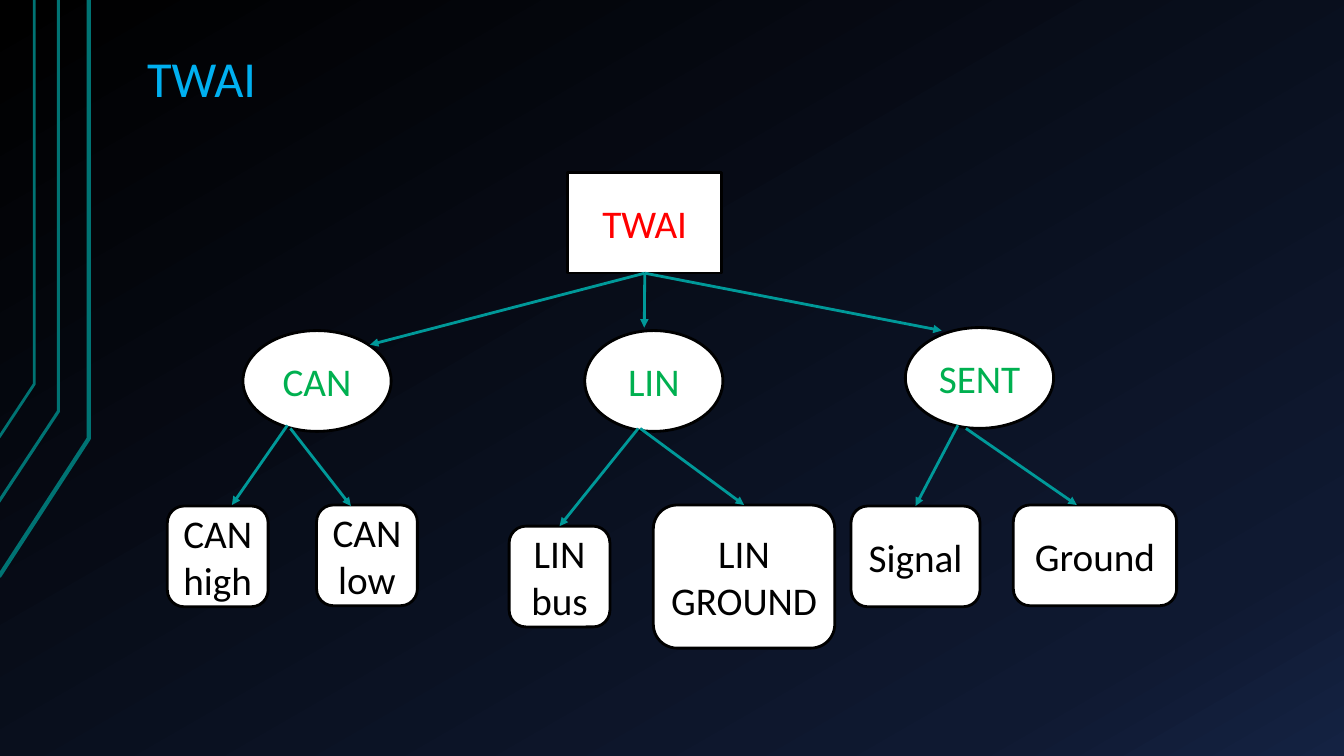
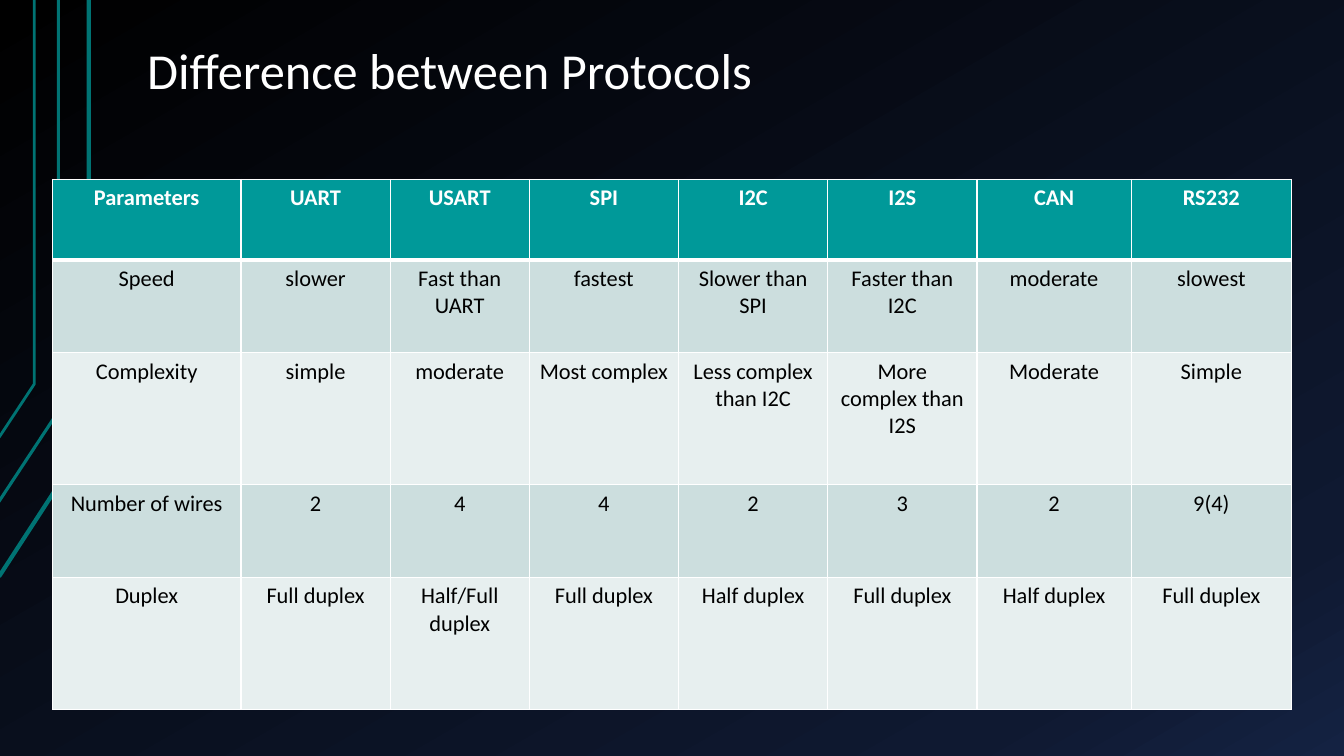
from copy import deepcopy
from lxml import etree
from pptx import Presentation
from pptx.dml.color import RGBColor
from pptx.enum.shapes import MSO_CONNECTOR, MSO_SHAPE
from pptx.enum.text import MSO_ANCHOR, MSO_AUTO_SIZE, PP_ALIGN
from pptx.oxml.ns import qn
from pptx.util import Inches, Pt

RECT, OVAL, ROUND = MSO_SHAPE.RECTANGLE, MSO_SHAPE.OVAL, MSO_SHAPE.ROUNDED_RECTANGLE
STRAIGHT = MSO_CONNECTOR.STRAIGHT
LEFT, MID = PP_ALIGN.LEFT, PP_ALIGN.CENTER
TOP, CENTER, BASE = MSO_ANCHOR.TOP, MSO_ANCHOR.MIDDLE, MSO_ANCHOR.BOTTOM
WIDE, HIGH = 13.33, 7.5
FONT = "Calibri"
WHITE, BLACK, TEAL, DARK = "FFFFFF", "000000", "009999", "007373"
BANDS = ["E7EFEF", "CCDEDE"]
SKY = [(0, BLACK), (0.85, "0F1931"), (1, "142242")]
RAILS = [
    (3, [(-0.01, 5.72), (0.88, 4.35), (0.88, 0)]),
    (2.25, [(-0.02, 4.99), (0.58, 4.08), (0.58, 0)]),
    (2, [(-0.01, 4.34), (0.34, 3.81), (0.34, 0)]),
]

KINDS = {"root": (RECT, "FF0000"), "bus": (OVAL, "00B050"), "wire": (ROUND, BLACK)}
NODES = [
    ("TWAI", "root", 5.63, 1.71, 1.53, 1),
    ("CAN", "bus", 2.41, 3.28, 1.47, 1),
    ("LIN", "bus", 5.8, 3.28, 1.37, 1),
    ("SENT", "bus", 8.98, 3.25, 1.47, 1),
    ("CAN high", "wire", 1.66, 5.02, 1, 1),
    ("CAN low", "wire", 3.14, 5.01, 1, 1),
    ("LIN GROUND", "wire", 6.48, 5.01, 1.8, 1.42),
    ("LIN bus", "wire", 5.05, 5.22, 1, 1),
    ("Signal", "wire", 8.44, 5.02, 1.28, 1),
    ("Ground", "wire", 10.05, 5.01, 1.62, 1),
]
LINKS = [
    ("TWAI", (3.67, 3.42)),
    ("TWAI", (6.39, 3.25)),
    ("TWAI", (9.34, 3.28)),
    ((2.85, 4.22), (2.3, 5.01)),
    ((2.88, 4.25), (3.48, 5.02)),
    ((6.33, 4.25), "LIN bus"),
    ((6.35, 4.25), "LIN GROUND"),
    ((9.5, 4.22), "Signal"),
    ((9.58, 4.25), (10.68, 5.01)),
]

COLS = [1.87, 1.48, 1.38, 1.48, 1.48, 1.48, 1.53, 1.59]
ROWS = [0.8, 0.92, 1.31, 0.92, 1.31]
CELLS = [
    ["Parameters", "UART", "USART", "SPI", "I2C", "I2S", "CAN", "RS232"],
    ["Speed", "slower", "Fast than UART", "fastest", "Slower than SPI",
     "Faster than I2C", "moderate", "slowest"],
    ["Complexity", "simple", "moderate", "Most complex", "Less complex than I2C",
     "More complex than I2S", "Moderate", "Simple"],
    ["Number of wires", "2", "4", "4", "2", "3", "2", "9(4)"],
    ["Duplex", "Full duplex", "Half/Full duplex", "Full duplex", "Half duplex",
     "Full duplex", "Half duplex", "Full duplex"],
]


def rgb(code):
    return RGBColor.from_string(code)


def write(frame, text, size=28, color=BLACK, bold=False, align=MID, anchor=CENTER, lead=None):
    frame.word_wrap = True
    frame.vertical_anchor = anchor
    para = frame.paragraphs[0]
    para.alignment = align
    para.line_spacing = lead
    run = para.add_run()
    run.text = text
    font = run.font
    font.name, font.size, font.bold = FONT, Pt(size), bold
    font.color.rgb = rgb(color)


def stroke(shape, color, width):
    shape.line.color.rgb = rgb(color)
    shape.line.width = Pt(width)


def paint(master):
    fill = master.background.fill
    fill.gradient()
    fill.gradient_angle = 300
    stops = master.element.find(".//" + qn("a:gsLst"))
    stops.append(deepcopy(stops[0]))
    for stop, (share, color) in zip(fill.gradient_stops, SKY):
        stop.position = share
        stop.color.rgb = rgb(color)


def rails(slide, layout):
    for width, dots in RAILS:
        first, *rest = [(Inches(x), Inches(y)) for x, y in dots]
        pen = slide.shapes.build_freeform(*first)
        pen.add_line_segments(rest, close=False)
        rail = pen.convert_to_shape()
        rail.shadow.inherit = False
        rail.fill.background()
        stroke(rail, DARK, width)
        layout.shapes.element.append(rail.element)


def head(slide, text, color, high):
    title = slide.shapes.title
    title.left, title.top = Inches(1.33), Inches(0.3)
    title.width, title.height = Inches(11.33), Inches(high)
    frame = title.text_frame
    frame.auto_size = MSO_AUTO_SIZE.NONE
    frame.margin_left = frame.margin_right = Inches(0.13)
    frame.margin_top = frame.margin_bottom = Inches(0.07)
    write(frame, text, size=36, color=color, align=LEFT, anchor=BASE, lead=0.9)


def node(slide, text, kind, *place):
    form, color = KINDS[kind]
    shape = slide.shapes.add_shape(form, *map(Inches, place))
    shape.shadow.inherit = False
    shape.fill.solid()
    shape.fill.fore_color.rgb = rgb(WHITE)
    stroke(shape, BLACK, 2)
    write(shape.text_frame, text, color=color)
    return shape


def link(slide, nodes, start, end):
    ends = [(0, 0) if isinstance(e, str) else e for e in (start, end)]
    line = slide.shapes.add_connector(STRAIGHT, *[Inches(v) for e in ends for v in e])
    if isinstance(start, str):
        line.begin_connect(nodes[start], 2)
    if isinstance(end, str):
        line.end_connect(nodes[end], 0)
    stroke(line, TEAL, 2)
    props = line.element.spPr
    etree.SubElement(props.find(qn("a:ln")), qn("a:tailEnd"), type="triangle")
    etree.SubElement(props, qn("a:effectLst"))


def edges(cell, row):
    props = cell._tc.get_or_add_tcPr()
    widths = {"L": 1, "R": 1, "T": 3 if row == 1 else 1, "B": 3 if row == 0 else 1}
    for at, (side, width) in enumerate(widths.items()):
        line = etree.Element(qn("a:ln" + side), w=str(Pt(width)))
        fill = etree.SubElement(line, qn("a:solidFill"))
        etree.SubElement(fill, qn("a:srgbClr"), val=WHITE)
        props.insert(at, line)


def grid(slide):
    size = [0.52, 1.78, sum(COLS), sum(ROWS)]
    table = slide.shapes.add_table(len(ROWS), len(COLS), *map(Inches, size)).table
    for col, width in zip(table.columns, COLS):
        col.width = Inches(width)
    for r, texts in enumerate(CELLS):
        table.rows[r].height = Inches(ROWS[r])
        for c, text in enumerate(texts):
            cell = table.cell(r, c)
            cell.fill.solid()
            cell.fill.fore_color.rgb = rgb(BANDS[r % 2] if r else TEAL)
            edges(cell, r)
            write(cell.text_frame, text, size=16, bold=r == 0, color=BLACK if r else WHITE)
            cell.vertical_anchor = TOP


def main():
    deck = Presentation()
    deck.slide_width, deck.slide_height = Inches(WIDE), Inches(HIGH)
    paint(deck.slide_master)
    layout = deck.slide_layouts[5]

    tree = deck.slides.add_slide(layout)
    rails(tree, layout)
    head(tree, "TWAI", "00B0F0", 0.85)
    nodes = {item[0]: node(tree, *item) for item in NODES}
    for start, end in LINKS:
        link(tree, nodes, start, end)

    chart = deck.slides.add_slide(layout)
    head(chart, "Difference between Protocols", WHITE, 0.77)
    grid(chart)
    deck.save("out.pptx")


if __name__ == "__main__":
    main()
